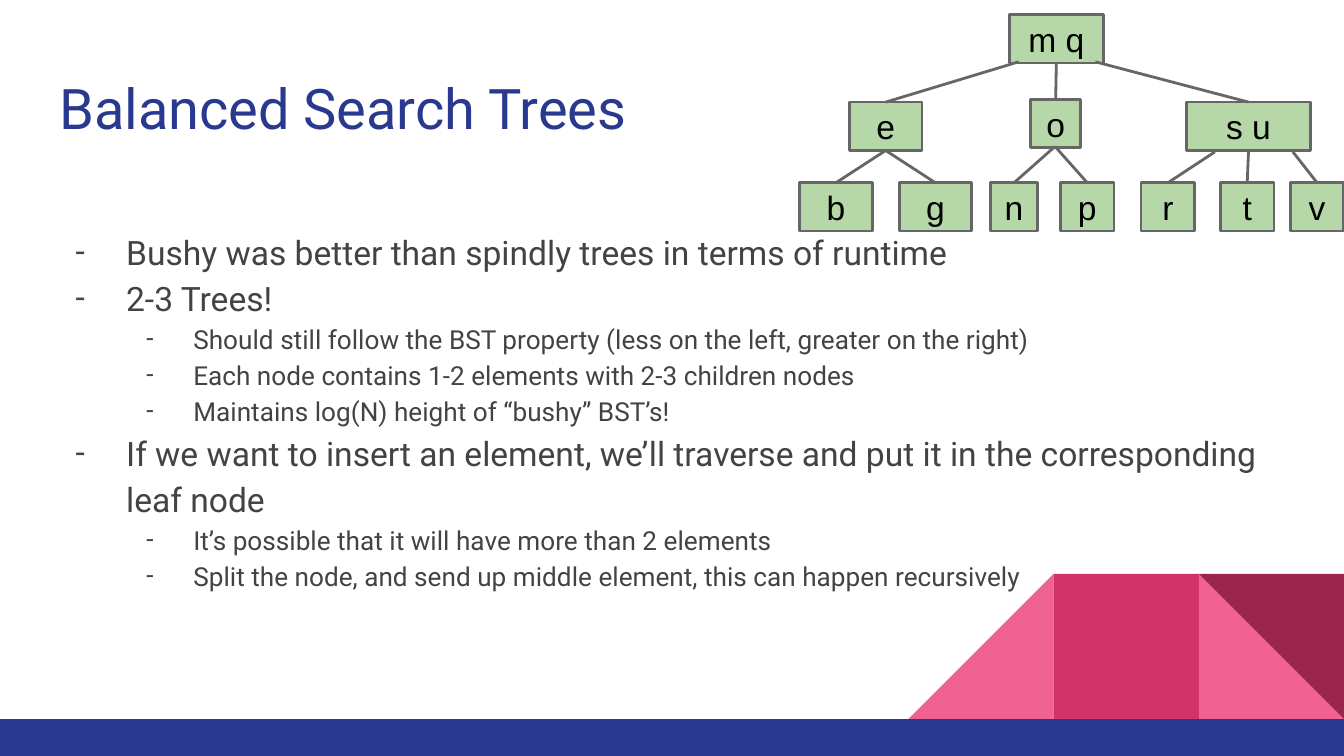
import pptx
import pptx.util
import pptx.dml.color
import pptx.enum.shapes
import pptx.enum.text
import pptx.oxml
import pptx.oxml.ns

KIND = pptx.enum.shapes.MSO_SHAPE
ALIGN = pptx.enum.text.PP_ALIGN
ANCHOR = pptx.enum.text.MSO_ANCHOR
Pt = pptx.util.Pt
NS = pptx.oxml.ns.nsdecls("a")

deck = pptx.Presentation()
deck.slide_width = pptx.util.Inches(10)
deck.slide_height = pptx.util.Inches(5.625)
slide = deck.slides.add_slide(deck.slide_layouts[5])
shapes = slide.shapes

# The grid has 100 columns; rows are as tall as columns are wide.
CELL = deck.slide_width // 100
ROWS = 56.25


def paint(color, hue):
    color.rgb = pptx.dml.color.RGBColor.from_string(hue)


def block(kind, x, y, w, h, hue):
    """Add a plain filled shape, placed in grid cells."""
    shape = shapes.add_shape(kind, *[int(n * CELL) for n in (x, y, w, h)])
    shape.shadow.inherit = False
    shape.fill.solid()
    paint(shape.fill.fore_color, hue)
    shape.line.fill.background()
    return shape


# Corner motif: three equal squares standing on the bottom band
side, band = 10.8, 53.5
cols = [100 - side * n for n in (3, 2, 1)]
top = band - side
block(KIND.RIGHT_TRIANGLE, cols[2], top, side, side, "F06292")
left = block(KIND.RIGHT_TRIANGLE, cols[0], top, side, side, "F06292")
left._element.spPr.xfrm.set("flipH", "1")
block(KIND.RECTANGLE, cols[1], top, side, side, "D23369")
block(KIND.RIGHT_TRIANGLE, cols[2], top, side, side, "9C254D").rotation = 180
block(KIND.RECTANGLE, 0, band, 100, ROWS - band, "2A3990")

# Title and bullets share their left edge and width
title = shapes.title
body = shapes.add_textbox(0, 0, CELL, CELL)
for box, y, h in ((title, 4.5, 6.6), (body, 15.8, 36.5)):
    box.left, box.width = int(3.4 * CELL), int(93.2 * CELL)
    box.top, box.height = int(y * CELL), int(h * CELL)
    frame = box.text_frame
    frame.word_wrap = True
    frame.auto_size = pptx.enum.text.MSO_AUTO_SIZE.NONE
    frame.vertical_anchor = ANCHOR.TOP
    frame.margin_left = frame.margin_right = CELL
    frame.margin_top = frame.margin_bottom = CELL

title.text_frame.text = "Balanced Search Trees"
head = title.text_frame.paragraphs[0]
head.alignment = ALIGN.LEFT
font = head.runs[0].font
font.name, font.size = "Roboto", Pt(30)
paint(font.color, "2A3990")

points = [
    (0, "Bushy was better than spindly trees in terms of runtime"),
    (0, "2-3 Trees!"),
    (1, "Should still follow the BST property (less on the left, greater on the right)"),
    (1, "Each node contains 1-2 elements with 2-3 children nodes"),
    (1, "Maintains log(N) height of “bushy” BST’s!"),
    (0, "If we want to insert an element, we’ll traverse and put it in the corresponding leaf node"),
    (1, "It’s possible that it will have more than 2 elements"),
    (1, "Split the node, and send up middle element, this can happen recursively"),
]
body.text_frame.text = "\n".join(text for _, text in points)
for para, (level, _) in zip(body.text_frame.paragraphs, points):
    para.level = level
    para.line_spacing = 1.15
    font = para.runs[0].font
    font.name, font.size = "Roboto", Pt((18, 14)[level])
    paint(font.color, "434343")
    props = para._p.get_or_add_pPr()
    props.set("marL", str(5 * (level + 1) * CELL))
    props.set("indent", str(-int((3.75, 3.5)[level] * CELL)))
    for xml in (
        f'<a:buClr {NS}><a:srgbClr val="434343"/></a:buClr>',
        f'<a:buFont {NS} typeface="Roboto"/>',
        f'<a:buChar {NS} char="-"/>',
    ):
        props.append(pptx.oxml.parse_xml(xml))

# Tree: keys, left, top, width, and the parent's foot point (x, y) if any
tall = 3.6
mid, leaf = 7.6, 13.6
nodes = [
    ("m q", 75.1, 1.1, 7, None),
    ("e", 63.2, mid, 5.4, (75.8, 4.6)),
    ("o", 76.7, 7.4, 3.7, (78.6, 4.6)),
    ("s u", 88.3, mid, 9.2, (81.5, 4.6)),
    ("b", 59.5, leaf, 5.4, (65.9, 11.2)),
    ("g", 66.9, leaf, 5.4, (65.9, 11.2)),
    ("n", 73.7, leaf, 3.5, (78.5, 10.9)),
    ("p", 78.9, leaf, 4, (78.5, 10.9)),
    ("r", 84.9, leaf, 4, (90.4, 11.3)),
    ("t", 90.8, leaf, 4, (92.9, 11.2)),
    ("v", 96, leaf, 4, (96.2, 11.3)),
]
for keys, x, y, w, foot in nodes:
    node = block(KIND.RECTANGLE, x, y, w, tall, "B6D7A8")
    lines = [node.line]
    frame = node.text_frame
    frame.margin_left = frame.margin_right = CELL
    frame.margin_top = frame.margin_bottom = CELL
    frame.vertical_anchor = ANCHOR.MIDDLE
    frame.text = keys
    para = frame.paragraphs[0]
    para.alignment = ALIGN.CENTER
    font = para.runs[0].font
    font.name, font.size = "Arial", Pt(18)
    paint(font.color, "000000")
    if foot:
        ends = [int(n * CELL) for n in (x + w / 2, y, *foot)]
        edge = shapes.add_connector(pptx.enum.shapes.MSO_CONNECTOR.STRAIGHT, *ends)
        lines.append(edge.line)
    for line in lines:
        line.width = Pt(1.5)
        paint(line.color, "666666")
    if foot:
        edge._element.spPr.append(pptx.oxml.parse_xml(f"<a:effectLst {NS}/>"))

deck.save("out.pptx")
